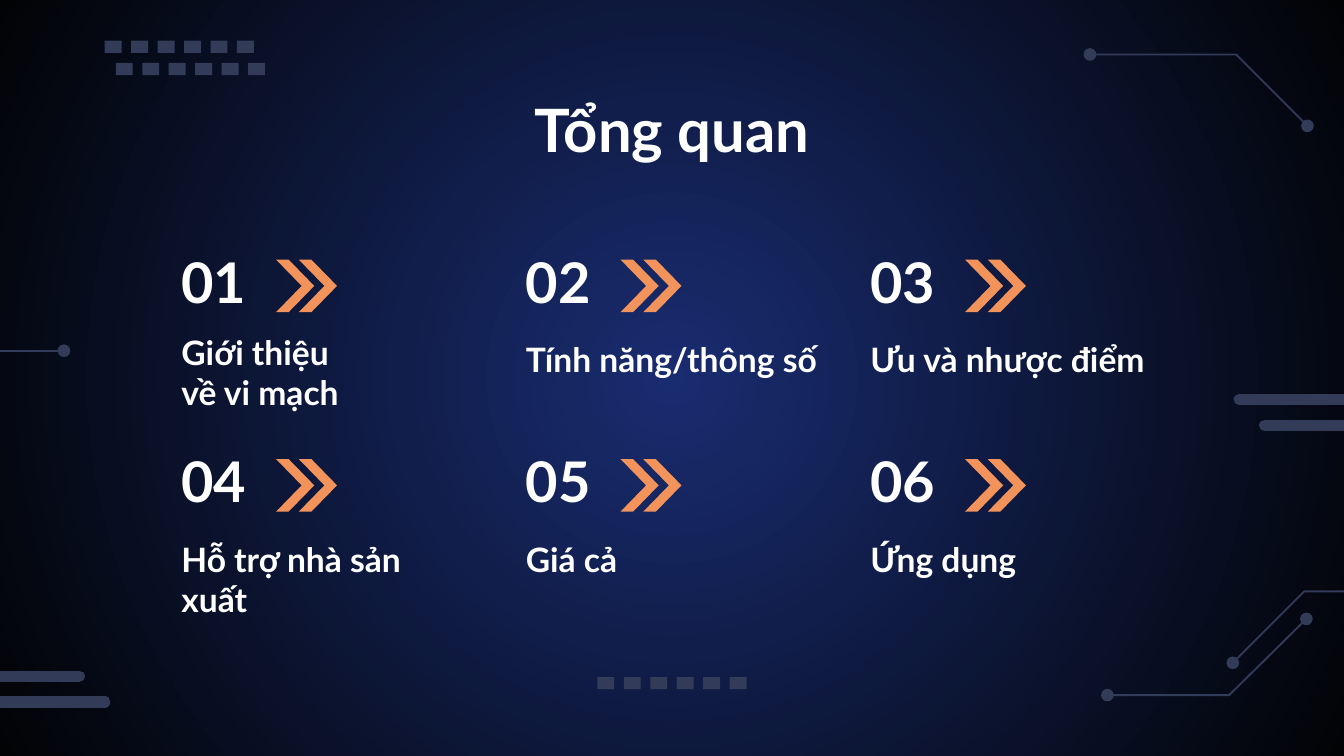
from lxml.etree import SubElement
from pptx import Presentation
from pptx.dml.color import RGBColor as Rgb
from pptx.enum.shapes import MSO_CONNECTOR as Connector, MSO_SHAPE as Shape
from pptx.enum.text import MSO_ANCHOR as Anchor, MSO_AUTO_SIZE as AutoSize, PP_ALIGN as Align
from pptx.oxml.ns import qn
from pptx.util import Cm, Pt

COLORS = {
    "center": "192C70",
    "edge": "020305",
    "circuit": "323B58",
    "arrow": "F2935B",
    "text": "FFFFFF",
}
WIDTH, HEIGHT = 25.4, 14.29
FRAME = {
    "word_wrap": True,
    "auto_size": AutoSize.NONE,
    "margin_left": Cm(0.25),
    "margin_right": Cm(0.25),
    "margin_top": Cm(0.25),
    "margin_bottom": Cm(0.25),
}
FONT = {"name": "Lato", "bold": True}
TOPICS = [
    (["Giới thiệu", "về vi mạch"], (1.4, 7.14, 2.24)),
    (["Tính năng/thông số"], (1.53, 6.1, 1.4)),
    (["Ưu và nhược điểm"], (1.53, 6.1, 1.4)),
    (["Hỗ trợ nhà sản xuất"], (1.55, 5.6, 1.4)),
    (["Giá cả"], (1.55, 6.05, 1.4)),
    (["Ứng dụng"], (1.55, 6.05, 1.4)),
]


def color(name):
    return Rgb.from_string(COLORS[name])


def write(box, lines, size, anchor=Anchor.TOP, align=Align.LEFT):
    frame = box.text_frame
    for key, value in {**FRAME, "vertical_anchor": anchor}.items():
        setattr(frame, key, value)
    for index, line in enumerate(lines):
        para = frame.paragraphs[0] if index == 0 else frame.add_paragraph()
        para.alignment = align
        span = para.add_run()
        span.text = line
        for key, value in {**FONT, "size": Pt(size)}.items():
            setattr(span.font, key, value)
        span.font.color.rgb = color("text")


def add_solid(page, kind, left, top, width, height, fill):
    shape = page.shapes.add_shape(kind, Cm(left), Cm(top), Cm(width), Cm(height))
    shape.shadow.inherit = False
    shape.fill.solid()
    shape.fill.fore_color.rgb = color(fill)
    shape.line.fill.background()
    return shape


def paint_background(page):
    fill = page.background.fill
    fill.gradient()
    for stop, name in zip(fill.gradient_stops, ("center", "edge")):
        stop.color.rgb = color(name)
    gradient = page.element.find(".//" + qn("a:gradFill"))
    gradient.remove(gradient.find(qn("a:lin")))
    radial = SubElement(gradient, qn("a:path"), path="circle")
    SubElement(radial, qn("a:fillToRect"), l="50000", t="50000", r="50000", b="50000")


def add_trace(page, left, top, steps, dots):
    points = [(left + x, top + y) for x, y in [(0, 0), *steps]]
    start, *rest = [(Cm(x), Cm(y)) for x, y in points]
    builder = page.shapes.build_freeform(*start)
    builder.add_line_segments(rest, close=False)
    trace = builder.convert_to_shape()
    trace.shadow.inherit = False
    trace.fill.background()
    trace.line.color.rgb = color("circuit")
    trace.line.width = Pt(1)
    size = 0.24
    for index in dots:
        x, y = points[index]
        add_solid(page, Shape.OVAL, x - size / 2, y - size / 2, size, size, "circuit")


def add_blocks(page, left, top):
    for index in range(6):
        add_solid(page, Shape.RECTANGLE, left + index * 0.5, top, 0.32, 0.23, "circuit")


def add_bar(page, left, right, top):
    bar = page.shapes.add_connector(Connector.STRAIGHT, Cm(left), Cm(top), Cm(right), Cm(top))
    bar.line.color.rgb = color("circuit")
    bar.line.width = Pt(6)
    properties = bar.element.spPr
    properties.find(qn("a:ln")).set("cap", "rnd")
    SubElement(properties, qn("a:effectLst"))


def add_decoration(page):
    add_trace(page, 0, 6.63, [(1.21, 0)], [1])
    add_trace(page, 20.6, 1.03, [(2.76, 0), (4.11, 1.35)], [0, 2])
    add_trace(page, 23.3, 12.53, [(1.35, -1.35), (2.1, -1.35)], [0])
    add_trace(page, 20.93, 13.14, [(2.3, 0), (3.76, -1.44)], [0, 2])
    for left, top in [(1.98, 0.77), (2.19, 1.19), (11.29, 12.8)]:
        add_blocks(page, left, top)
    for left, right, top in [
        (23.42, WIDTH, 7.55), (23.9, WIDTH, 8.04), (0, 1.5, 12.78), (0, 1.98, 13.27),
    ]:
        add_bar(page, left, right, top)


def add_title(page, left, top, width, height):
    title = page.shapes.title
    title.left, title.top, title.width, title.height = map(Cm, (left, top, width, height))
    write(title, ["Tổng quan"], 32, align=Align.CENTER)


def add_topic(page, left, top, number, lines, caption_box):
    box = page.shapes.add_textbox(Cm(left), Cm(top), Cm(2.03), Cm(1.58))
    write(box, [f"{number:02d}"], 30, Anchor.BOTTOM)
    offset, width, height = caption_box
    caption = page.shapes.add_textbox(Cm(left), Cm(top + offset), Cm(width), Cm(height))
    write(caption, lines, 18)
    for shift in (2.04, 2.47):
        arrow = add_solid(page, Shape.CHEVRON, left + shift, top + 0.29, 0.72, 0.99, "arrow")
        arrow.adjustments[0] = 0.67


def add_topics(page, left, top):
    for index, (lines, caption_box) in enumerate(TOPICS):
        row, column = divmod(index, 3)
        add_topic(page, left + column * 6.51, top + row * 3.77, index + 1, lines, caption_box)


def main():
    deck = Presentation()
    deck.slide_width, deck.slide_height = Cm(WIDTH), Cm(HEIGHT)
    page = deck.slides.add_slide(deck.slide_layouts[5])
    paint_background(page)
    add_decoration(page)
    add_title(page, 2.54, 1.5, 20.32, 1.6)
    add_topics(page, 3.18, 4.62)
    deck.save("out.pptx")


if __name__ == "__main__":
    main()
